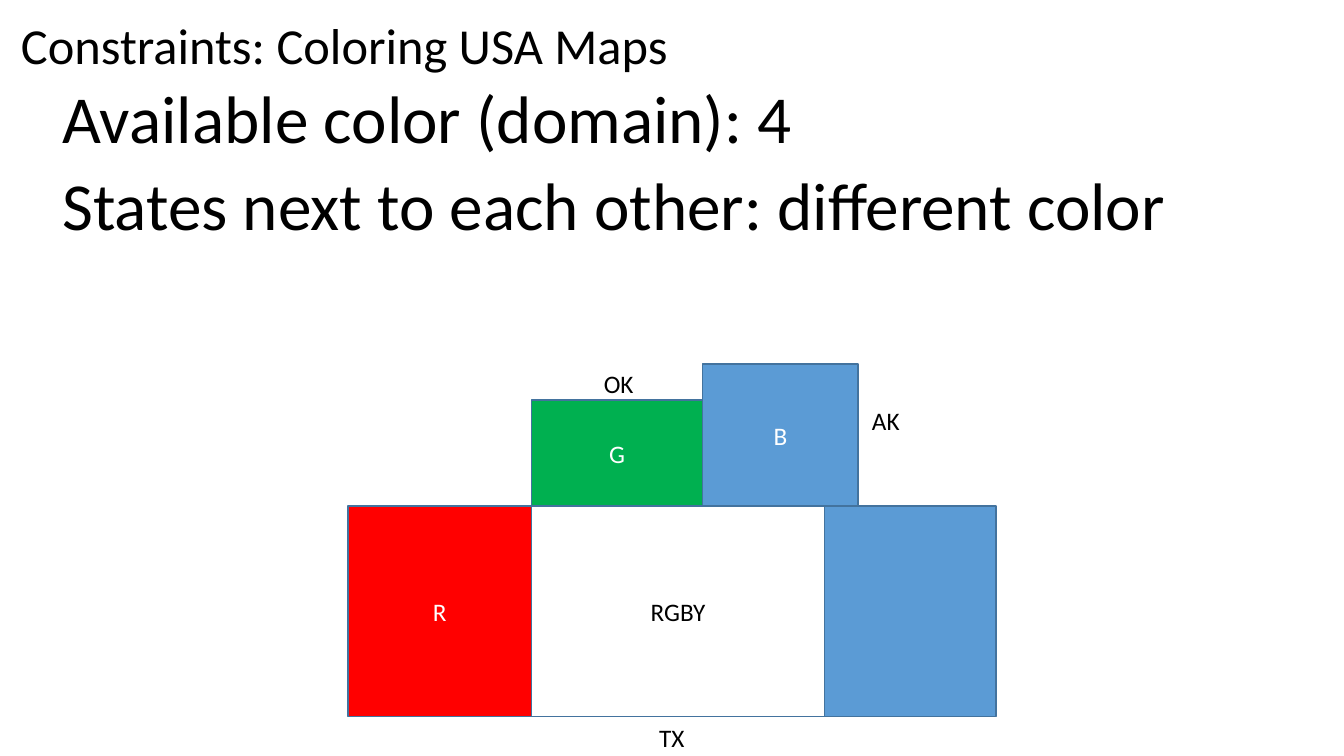
from dataclasses import dataclass
from typing import Optional

from pptx import Presentation
from pptx import util as u
from pptx.dml.color import RGBColor
from pptx.enum import shapes, text

PX = u.Inches(1) // 100


@dataclass(frozen=True)
class Theme:
    font: str = "Calibri"
    black: str = "000000"
    white: str = "FFFFFF"
    red: str = "FF0000"
    green: str = "00B050"
    blue: str = "5B9BD5"
    outline: str = "43739E"
    title_size: int = 36
    body_size: int = 48
    label_size: int = 18
    outline_width: int = 1


THEME = Theme()


@dataclass(frozen=True)
class Area:
    left: int
    top: int
    width: int
    height: int

    def emu(self) -> tuple[int, int, int, int]:
        return self.left * PX, self.top * PX, self.width * PX, self.height * PX


@dataclass(frozen=True)
class State:
    area: Area
    fill: Optional[str]
    colors: str = ""
    text_color: str = THEME.white


@dataclass(frozen=True)
class Label:
    area: Area
    lines: tuple[str, ...]
    size: int = THEME.label_size
    wrap: bool = True
    grow: bool = True
    line_spacing: float = 1.0
    space_before: int = 0


ROW_TOP, ROW_HEIGHT = 502, 209
WEST, TEXAS, EAST = 345, 527, 818
ARKANSAS = 697

STATES = (
    State(Area(TEXAS, ROW_TOP, EAST - TEXAS, ROW_HEIGHT), None, "RGBY", THEME.black),
    State(Area(EAST, ROW_TOP, 170, ROW_HEIGHT), THEME.blue),
    State(Area(ARKANSAS, 361, 154, ROW_TOP - 361), THEME.blue, "B"),
    State(Area(TEXAS, 397, ARKANSAS - TEXAS, ROW_TOP - 397), THEME.green, "G"),
    State(Area(WEST, ROW_TOP, TEXAS - WEST, ROW_HEIGHT), THEME.red, "R"),
)

HEADINGS = (
    Label(
        Area(52, 80, 1210, 253),
        ("Available color (domain): 4", "States next to each other: different color"),
        THEME.body_size, grow=False, line_spacing=0.9, space_before=10,
    ),
    Label(Area(11, 9, 1252, 101), ("Constraints: Coloring USA Maps",), THEME.title_size),
)

STATE_NAMES = (
    Label(Area(644, 712, 46, 40), ("TX",), wrap=False),
    Label(Area(589, 361, 55, 40), ("OK",)),
    Label(Area(855, 397, 48, 40), ("AK",), wrap=False),
)


def add_span(para, words: str, size: int, color: str) -> None:
    span = para.add_run()
    span.text = words
    span.font.name = THEME.font
    span.font.size = u.Pt(size)
    span.font.color.rgb = RGBColor.from_string(color)


def draw_label(page, label: Label) -> None:
    frame = page.shapes.add_textbox(*label.area.emu()).text_frame
    frame.word_wrap = label.wrap
    if label.grow:
        frame.auto_size = text.MSO_AUTO_SIZE.SHAPE_TO_FIT_TEXT
    for index, line in enumerate(label.lines):
        para = frame.add_paragraph() if index else frame.paragraphs[0]
        para.line_spacing = label.line_spacing
        para.space_before = u.Pt(label.space_before)
        add_span(para, line, label.size, THEME.black)


def draw_state(page, state: State) -> None:
    box = page.shapes.add_shape(shapes.MSO_SHAPE.RECTANGLE, *state.area.emu())
    box.shadow.inherit = False
    if state.fill is None:
        box.fill.background()
    else:
        box.fill.solid()
        box.fill.fore_color.rgb = RGBColor.from_string(state.fill)
    box.line.color.rgb = RGBColor.from_string(THEME.outline)
    box.line.width = u.Pt(THEME.outline_width)
    if state.colors:
        box.text_frame.vertical_anchor = text.MSO_ANCHOR.MIDDLE
        para = box.text_frame.paragraphs[0]
        para.alignment = text.PP_ALIGN.CENTER
        add_span(para, state.colors, THEME.label_size, state.text_color)


def main() -> None:
    deck = Presentation()
    deck.slide_width, deck.slide_height = 1333 * PX, 750 * PX
    page = deck.slides.add_slide(deck.slide_layouts[6])
    for heading in HEADINGS:
        draw_label(page, heading)
    for state in STATES:
        draw_state(page, state)
    for name in STATE_NAMES:
        draw_label(page, name)
    deck.save("out.pptx")


if __name__ == "__main__":
    main()
